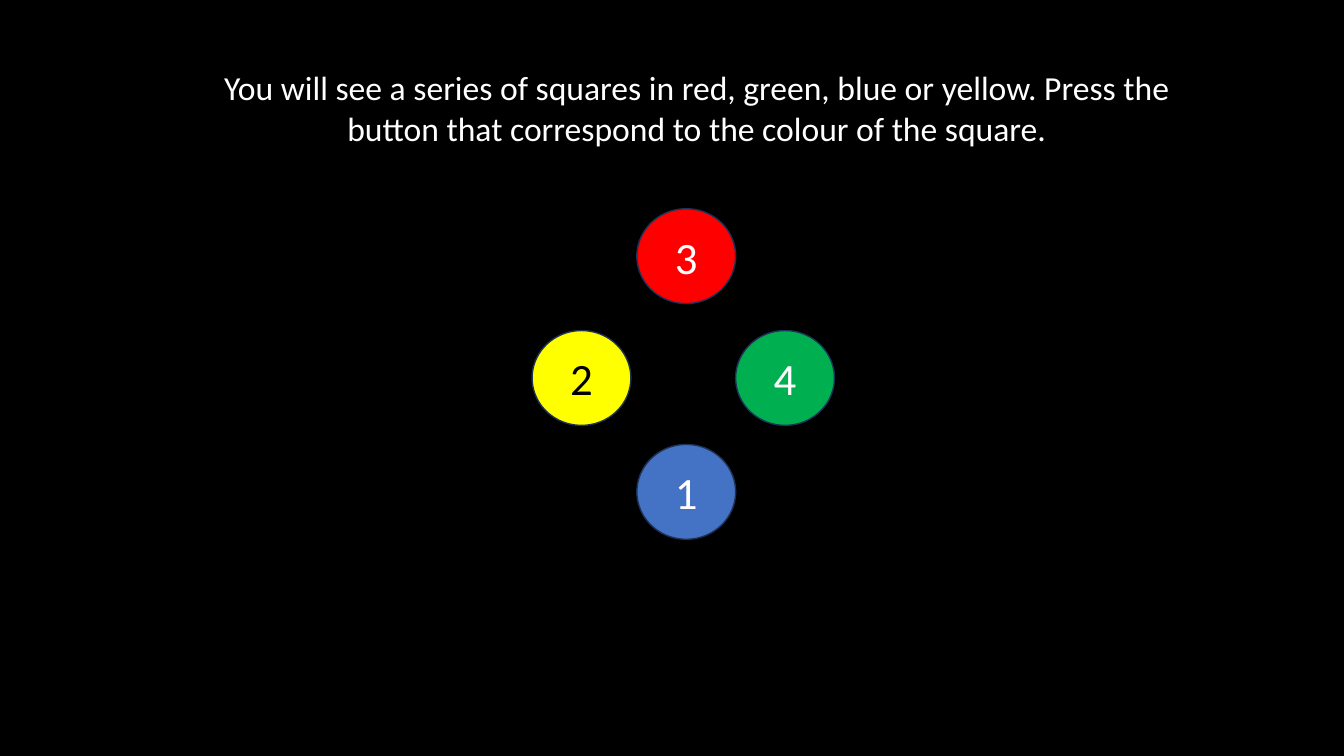
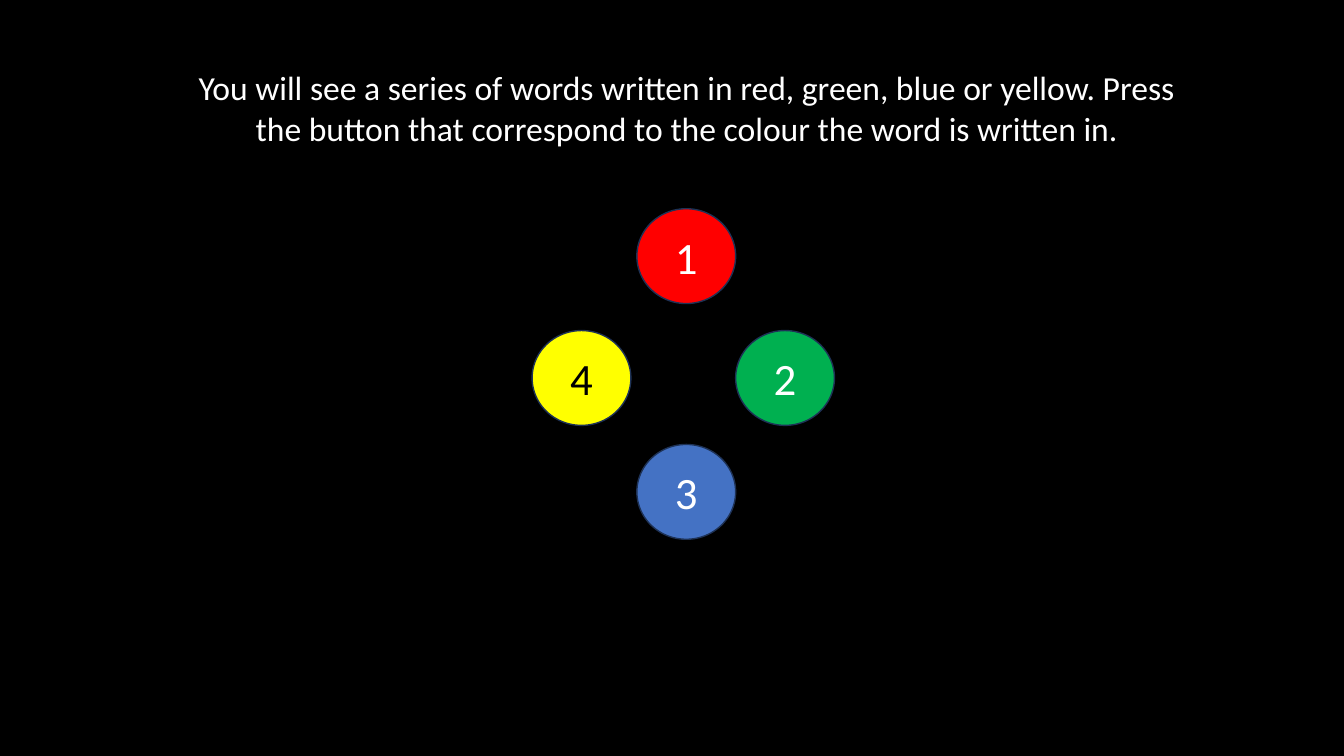
"""Build two instruction slides for a colour-button task."""
from pptx import Presentation
from pptx.dml.color import RGBColor
from pptx.enum.shapes import MSO_SHAPE
from pptx.enum.text import MSO_ANCHOR, MSO_AUTO_SIZE, PP_ALIGN
from pptx.util import Cm, Pt

OVAL = MSO_SHAPE.OVAL
TOP, MIDDLE = MSO_ANCHOR.TOP, MSO_ANCHOR.MIDDLE
CENTER = PP_ALIGN.CENTER
NO_AUTOFIT = MSO_AUTO_SIZE.NONE

FONT = "Calibri"
BLACK, WHITE, OUTLINE = "000000", "FFFFFF", "1E3256"
BUTTON_W, BUTTON_H = 2.49, 2.39

BUTTONS = [
    (16.05, 5.26, "FF0000", WHITE),
    (18.54, 8.33, "00B050", WHITE),
    (16.05, 11.2, "4472C4", WHITE),
    (13.41, 8.33, "FFFF00", BLACK),
]

SLIDES = [
    ("You will see a series of squares in red, green, blue or yellow. "
     "Press the button that correspond to the colour of the square.",
     25.88, "3412"),
    ("You will see a series of words written in red, green, blue or yellow. "
     "Press the button that correspond to the colour the word is written in.",
     25.37, "1234"),
]


def rgb(value):
    return RGBColor.from_string(value)


def write(sp, text, size, color, anchor):
    tf = sp.text_frame
    tf.word_wrap = True
    tf.auto_size = NO_AUTOFIT
    tf.vertical_anchor = anchor
    p = tf.paragraphs[0]
    p.alignment = CENTER
    r = p.add_run()
    r.text = text
    r.font.name = FONT
    r.font.size = Pt(size)
    r.font.color.rgb = rgb(color)


prs = Presentation()
prs.slide_width, prs.slide_height = Cm(33.87), Cm(19.05)
bg = prs.slide_master.background.fill
bg.solid()
bg.fore_color.rgb = rgb(BLACK)
title_only = prs.slide_layouts[5]

for instruction, width, numbers in SLIDES:
    s = prs.slides.add_slide(title_only)
    title = s.shapes.title
    title.left, title.top = Cm(4.62), Cm(1.57)
    title.width, title.height = Cm(width), Cm(2.31)
    write(title, instruction, 24, WHITE, TOP)

    for number, (x, y, fill, color) in zip(numbers, BUTTONS):
        sp = s.shapes.add_shape(OVAL, Cm(x), Cm(y), Cm(BUTTON_W), Cm(BUTTON_H))
        sp.shadow.inherit = False
        sp.fill.solid()
        sp.fill.fore_color.rgb = rgb(fill)
        sp.line.color.rgb = rgb(OUTLINE)
        sp.line.width = Pt(1)
        write(sp, number, 32, color, MIDDLE)

prs.save("out.pptx")
